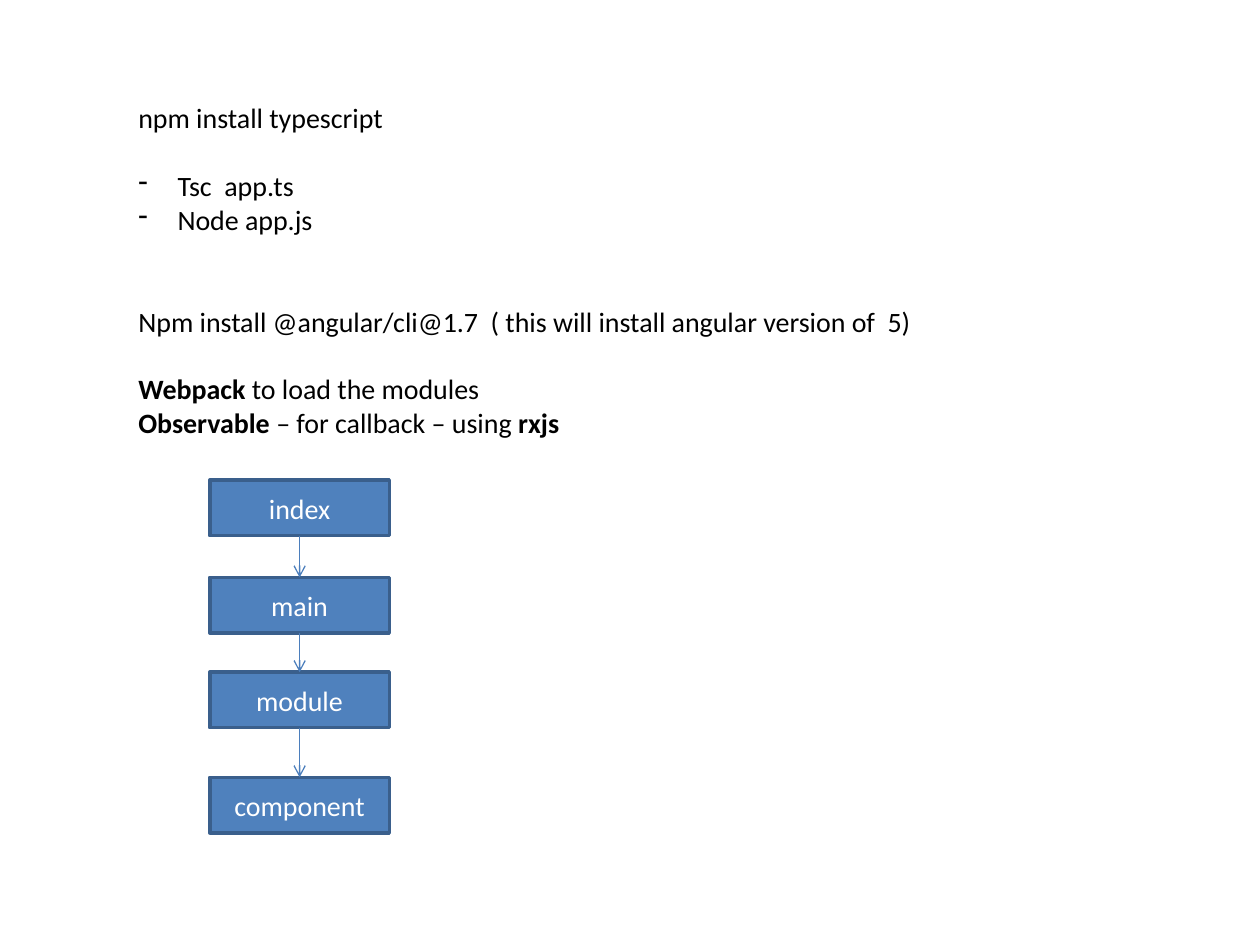
"""Build a slide of setup notes above a four-step loading chain."""
import pptx
import pptx.util
import pptx.dml.color
import pptx.enum.shapes
import pptx.enum.text
import pptx.oxml.ns
import lxml.etree

Cm, Pt = pptx.util.Cm, pptx.util.Pt
qn = pptx.oxml.ns.qn


def color(value):
    return pptx.dml.color.RGBColor.from_string(value)


def style(span, value, bold=False):
    span.font.name = "Calibri"
    span.font.size = Pt(16)
    span.font.bold = bold
    span.font.color.rgb = color(value)


deck = pptx.Presentation()
deck.slide_width, deck.slide_height = Cm(25.4), Cm(19.05)
page = deck.slides.add_slide(deck.slide_layouts[6])

line_height = 19.5
notes = [
    (0, False, [("npm install typescript", False)]),
    (1, True, [("Tsc  app.ts", False)]),
    (0, True, [("Node app.js", False)]),
    (2, False, [("Npm install @angular/cli@1.7  ( this will install angular version of  5)", False)]),
    (1, False, [("Webpack", True), (" to load the modules", False)]),
    (0, False, [("Observable", True), (" – for callback – using ", False), ("rxjs", True)]),
]
notes_box = page.shapes.add_textbox(Cm(2.54), Cm(1.91), Cm(16.26), Cm(7.77))
frame = notes_box.text_frame
frame.word_wrap = False
frame.auto_size = pptx.enum.text.MSO_AUTO_SIZE.SHAPE_TO_FIT_TEXT
for index, (gap_lines, bulleted, pieces) in enumerate(notes):
    para = frame.paragraphs[0] if index == 0 else frame.add_paragraph()
    para.space_before = Pt(gap_lines * line_height)
    if bulleted:
        properties = para._p.get_or_add_pPr()
        properties.set("marL", str(Cm(0.79)))
        properties.set("indent", str(-Cm(0.79)))
        lxml.etree.SubElement(properties, qn("a:buFontTx"))
        lxml.etree.SubElement(properties, qn("a:buChar")).set("char", "-")
    for text, bold in pieces:
        span = para.add_run()
        span.text = text
        style(span, "000000", bold)

steps = [("index", 9.68), ("main", 11.64), ("module", 13.55), ("component", 15.67)]
step_boxes = []
for name, top in steps:
    box = page.shapes.add_shape(
        pptx.enum.shapes.MSO_SHAPE.RECTANGLE, Cm(4.23), Cm(top), Cm(3.62), Cm(1.12))
    box.shadow.inherit = False
    box.fill.solid()
    box.fill.fore_color.rgb = color("4F81BD")
    box.line.color.rgb = color("3A5F8C")
    box.line.width = Pt(2)
    box.text_frame.text = name
    box.text_frame.vertical_anchor = pptx.enum.text.MSO_ANCHOR.MIDDLE
    para = box.text_frame.paragraphs[0]
    para.alignment = pptx.enum.text.PP_ALIGN.CENTER
    style(para.runs[0], "FFFFFF")
    step_boxes.append(box)

bottom_site, top_site = 2, 0
for upper, lower in zip(step_boxes, step_boxes[1:]):
    arrow = page.shapes.add_connector(pptx.enum.shapes.MSO_CONNECTOR.STRAIGHT, 0, 0, 0, 0)
    arrow.begin_connect(upper, bottom_site)
    arrow.end_connect(lower, top_site)
    arrow.line.color.rgb = color("4B7EBC")
    arrow.line.width = Pt(0.75)
    lxml.etree.SubElement(arrow.line._get_or_add_ln(), qn("a:tailEnd")).set("type", "arrow")
    lxml.etree.SubElement(arrow._element.spPr, qn("a:effectLst"))

deck.save("out.pptx")
